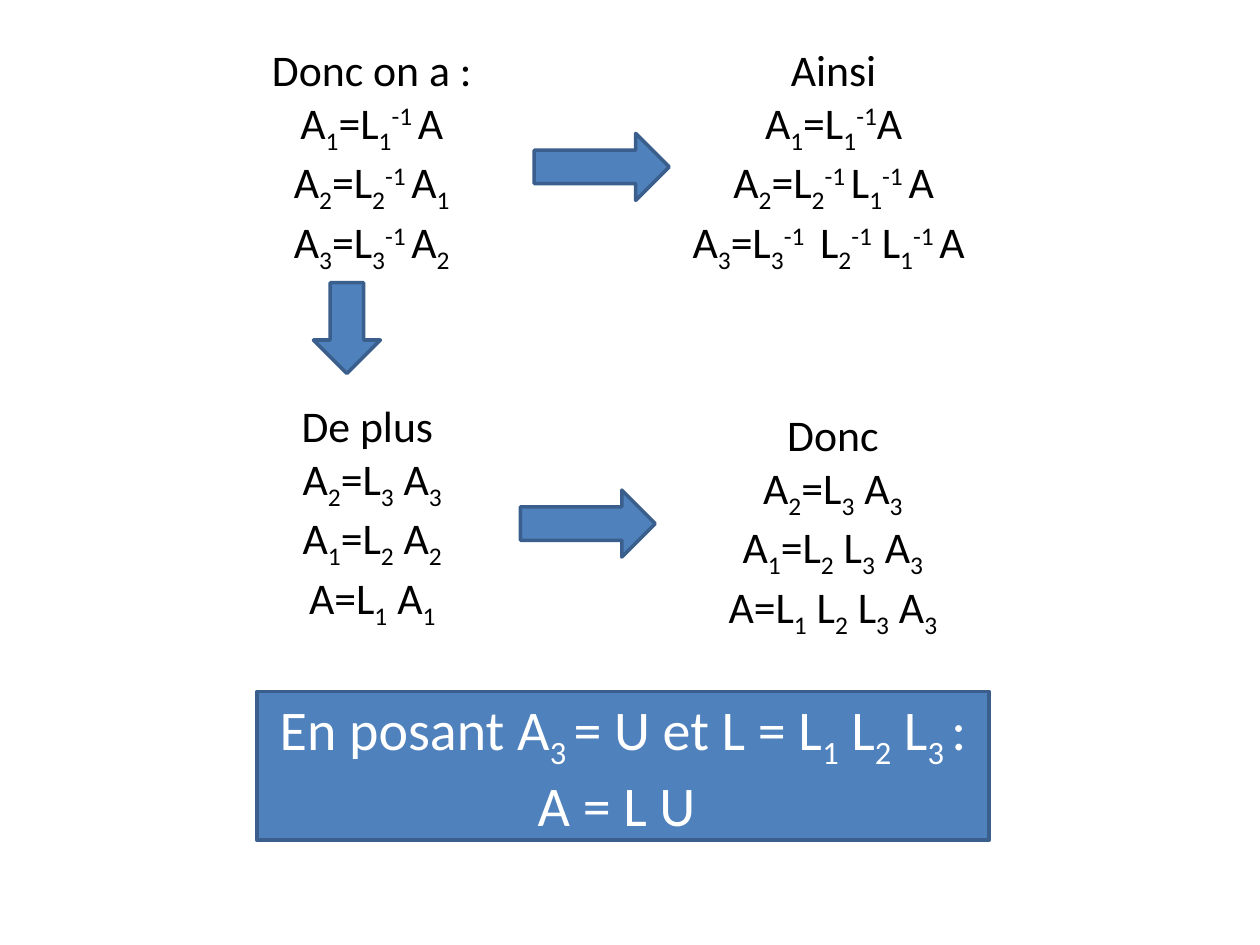
from pptx import Presentation
from pptx.dml.color import RGBColor as Rgb
from pptx.enum.shapes import MSO_SHAPE as Geo
from pptx.enum.text import MSO_ANCHOR as Anchor, MSO_AUTO_SIZE as Fit, PP_ALIGN as Align
from pptx.util import Cm, Pt

BASE = {"_": "-25000", "^": "30000"}


def tint(code):
    """Turn a hex string into a colour."""
    return Rgb.from_string(code)


def write(frame, lines, size=25, color="000000", font="Calibri", wrap=True):
    """Fill a frame with centred lines; |_ starts a subscript and |^ a superscript."""
    frame.word_wrap = wrap
    frame.auto_size = Fit.SHAPE_TO_FIT_TEXT
    for i, line in enumerate(lines):
        para = frame.paragraphs[0] if i == 0 else frame.add_paragraph()
        para.alignment = Align.CENTER
        for part in line.split("|"):
            shift = BASE.get(part[0])
            run = para.add_run()
            run.text = part[1:] if shift else part
            run.font.size = Pt(size)
            run.font.name = font
            run.font.color.rgb = tint(color)
            if shift:
                run.font._element.set("baseline", shift)


class Board:
    """Hold the style and the current slide."""

    fill = "4F81BD"
    edge = "3A5F8C"

    def __init__(self, slide):
        """Keep the slide to draw on."""
        self.slide = slide

    def text(self, area, lines):
        """Add a column of equations."""
        box = self.slide.shapes.add_textbox(*map(Cm, area))
        write(box.text_frame, lines)

    def shape(self, kind, area):
        """Add a filled and outlined shape."""
        item = self.slide.shapes.add_shape(kind, *map(Cm, area))
        item.shadow.inherit = False
        item.fill.solid()
        item.fill.fore_color.rgb = tint(self.fill)
        item.line.color.rgb = tint(self.edge)
        item.line.width = Pt(2)
        return item

    def banner(self, area, lines):
        """Add the box with the conclusion."""
        frame = self.shape(Geo.RECTANGLE, area).text_frame
        frame.vertical_anchor = Anchor.MIDDLE
        write(frame, lines, size=32, color="FFFFFF", wrap=False)


def main():
    """Build the slide and save it."""
    deck = Presentation()
    deck.slide_width, deck.slide_height = Cm(25.4), Cm(19.05)
    board = Board(deck.slides.add_slide(deck.slide_layouts[6]))

    board.text((4.7, 0.74, 5.59, 4.52), [
        "Donc on a :",
        "A|_1|=L|_1|^-1 |A",
        "A|_2|=L|_2|^-1 |A|_1",
        "A|_3|=L|_3|^-1 |A|_2",
    ])
    board.text((13.21, 0.74, 7.19, 4.52), [
        "Ainsi",
        "A|_1|=L|_1|^-1|A",
        "A|_2|=L|_2|^-1 |L|_1|^-1 |A",
        "A|_3|=L|_3|^-1 | L|_2|^-1| L|_1|^-1 |A ",
    ])
    board.text((5.08, 7.92, 4.85, 5.23), [
        "De plus ",
        "A|_2|=L|_3| A|_3",
        "A|_1|=L|_2| A|_2",
        "A=L|_1| A|_1",
    ])
    board.text((13.49, 8.1, 6.6, 5.23), [
        "Donc",
        "A|_2|=L|_3| A|_3",
        "A|_1|=L|_2| L|_3| A|_3",
        "A=L|_1| L|_2| L|_3| A|_3",
    ])

    board.shape(Geo.RIGHT_ARROW, (10.77, 2.69, 2.72, 1.35))
    board.shape(Geo.DOWN_ARROW, (6.32, 5.7, 1.35, 1.83))
    board.shape(Geo.RIGHT_ARROW, (10.49, 9.88, 2.72, 1.35))
    board.banner((5.18, 13.94, 14.76, 3), [
        "En posant A|_3 |= U et L = L|_1| L|_2| L|_3 |:",
        "A = L U ",
    ])
    deck.save("out.pptx")


if __name__ == "__main__":
    main()
